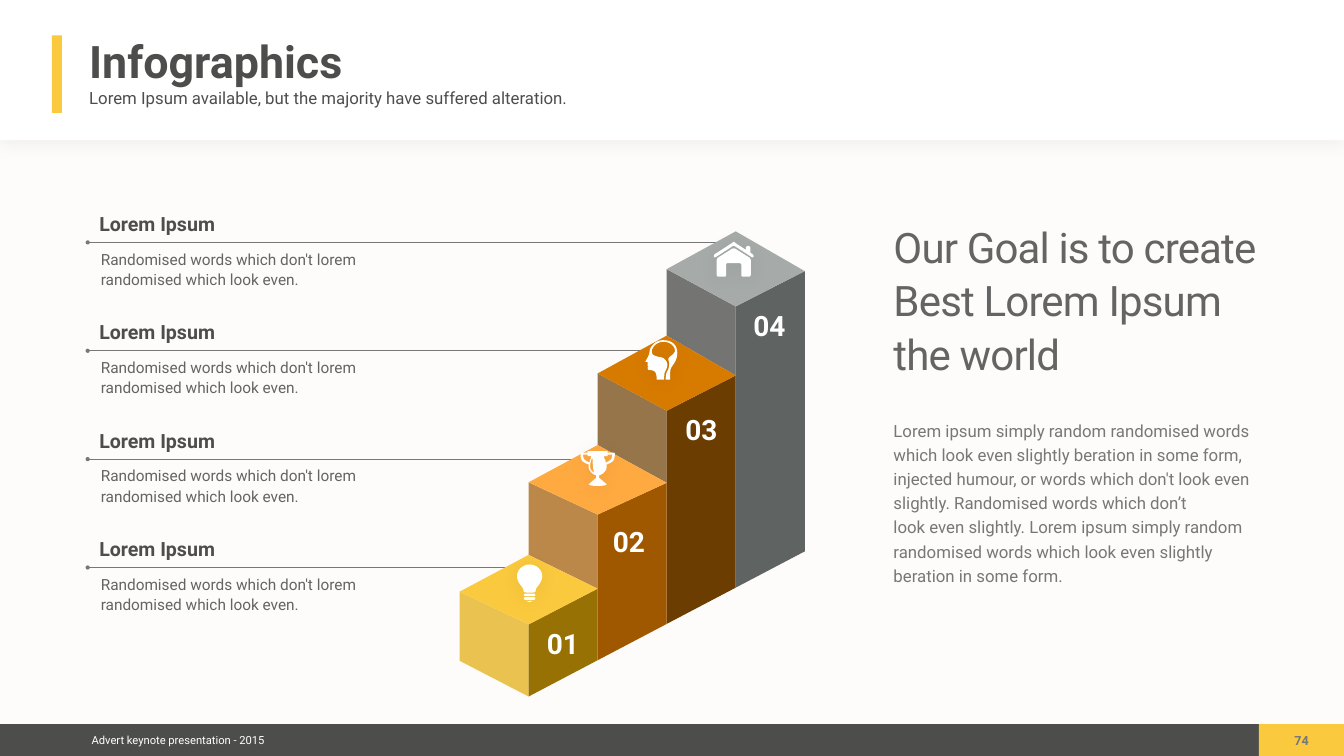
from lxml import etree
from pptx import Presentation
from pptx import util as u
from pptx.dml.color import RGBColor
from pptx.enum import shapes, text
from pptx.oxml.ns import qn

PX = 9144
FINE = 20
FONT = "Roboto"
DARK, GREY, MID = "4D4E4C", "777776", "636463"
YELLOW, WHITE = "FAC93D", "FFFFFF"
LEFT, CENTER = text.PP_ALIGN.LEFT, text.PP_ALIGN.CENTER
TOP, MIDDLE = text.MSO_ANCHOR.TOP, text.MSO_ANCHOR.MIDDLE


def px(*lengths):
    return [u.Emu(n * PX) for n in lengths]


def rgb(value):
    return RGBColor.from_string(value)


def add_child(parent, tag, **attributes):
    return etree.SubElement(parent, qn(tag), {k: str(v) for k, v in attributes.items()})


def paint(shape, color, opacity=100, shadow=False):
    shape.fill.solid()
    shape.fill.fore_color.rgb = rgb(color)
    shape.line.fill.background()
    shape.shadow.inherit = False
    properties = shape._element.spPr
    if opacity < 100:
        add_child(properties.find(".//" + qn("a:srgbClr")), "a:alpha", val=opacity * 1000)
    if shadow:
        outer = add_child(properties.find(qn("a:effectLst")), "a:outerShdw",
                          blurRad=u.Pt(26), dist=u.Pt(2), dir=5400000,
                          algn="ctr", rotWithShape=0)
        add_child(add_child(outer, "a:srgbClr", val="000000"), "a:alpha", val=5000)


def add_bar(slide, box, color, shadow=False):
    bar = slide.shapes.add_shape(shapes.MSO_SHAPE.RECTANGLE, *px(*box))
    paint(bar, color, shadow=shadow)


def add_text(slide, box, paragraphs, size, color, bold=False, align=LEFT, anchor=TOP,
             inset=0, wrap=True, spacing=1.0, before=0, tracking=0):
    frame = slide.shapes.add_textbox(*px(*box)).text_frame
    frame.word_wrap = wrap
    frame.vertical_anchor = anchor
    frame.margin_left = frame.margin_right = px(inset)[0]
    frame.margin_top = frame.margin_bottom = px(inset)[0]
    for i, words in enumerate(paragraphs):
        paragraph = frame.add_paragraph() if i else frame.paragraphs[0]
        paragraph.alignment = align
        paragraph.line_spacing = spacing
        if i:
            paragraph.space_before = u.Pt(before)
        run = paragraph.add_run()
        run.text = words
        run.font.name = FONT
        run.font.size = u.Pt(size)
        run.font.bold = bold
        run.font.color.rgb = rgb(color)
        if tracking:
            run._r.get_or_add_rPr().set("spc", str(tracking))


def add_leader(slide, y, start, end):
    leader = slide.shapes.add_connector(shapes.MSO_CONNECTOR.STRAIGHT, *px(start, y, end, y))
    leader.line.color.rgb = rgb(GREY)
    leader.line.width = u.Pt(1)
    add_child(leader.line._get_or_add_ln(), "a:headEnd", type="oval")
    add_child(leader._element.spPr, "a:effectLst")


def add_outline(slide, contours, color, origin=(0, 0), opacity=100, shadow=False):
    placed = [[((x + origin[0]) * FINE, (y + origin[1]) * FINE) for x, y in contour]
              for contour in contours]
    builder = slide.shapes.build_freeform(*placed[0][0], scale=PX / FINE)
    for i, contour in enumerate(placed):
        if i:
            builder.move_to(*contour[0])
        builder.add_line_segments(contour[1:], close=True)
    paint(builder.convert_to_shape(), color, opacity, shadow)


def trace(*segments):
    points = []
    for segment in segments:
        if len(segment) == 2:
            points.append(segment)
            continue
        ends = (points[-1], segment[:2], segment[2:4], segment[4:])
        for t in (n / 8 for n in range(1, 9)):
            weights = ((1 - t) ** 3, 3 * t * (1 - t) ** 2, 3 * t * t * (1 - t), t ** 3)
            points.append(tuple(sum(w * p[axis] for w, p in zip(weights, ends))
                                for axis in (0, 1)))
    return points


def flip(points):
    return [(-x, y) for x, y in reversed(points)]


def symmetric(*segments):
    half = trace(*segments)
    return half + flip(half)


def bulb():
    glass = symmetric((0, 0), (13, 0, 25, 10, 25, 23), (25, 36, 14, 44, 13, 48),
                      (11, 52, 13, 54, 10, 55), (7, 56, 0, 56, 0, 56))
    threads = [symmetric((0, y), (9, y), (12, y, 12, y + 5, 9, y + 5), (0, y + 5))
               for y in (58, 65)]
    return [glass, *threads, [(-7, 72), (7, 72), (0, 75)]]


def trophy():
    cup = symmetric((0, 0), (20, 0), (20, 3), (31, 3), (33, 3, 34, 4, 34, 5),
                    (34, 12, 33, 17, 30, 20), (27, 23, 22, 25, 17, 27),
                    (18, 28, 18, 29, 18, 30), (18, 39, 11, 46, 3, 48),
                    (3, 53), (18, 66), (14, 69, 7, 69, 0, 69))
    handle = trace((26, 17), (24, 19, 20, 21, 16, 23), (16, 20, 15, 17, 13, 14),
                   (13, 10), (20, 10), (20, 7), (29, 7), (29, 10, 28, 15, 26, 17))
    glint = trace((-7, 43), (-12, 40, -15, 36, -15, 30), (-15, 26, -14, 21, -12, 16),
                  (-11, 14), (-10, 15), (-10, 20, -10, 33, -7, 43))
    return [cup, handle, flip(handle), glint]


def head():
    return [trace((23, 78), (38, 78), (38, 74, 38, 69, 39, 64), (42, 58, 48, 48, 41, 40),
                  (34, 32, 32, 35, 23, 32), (14, 30, 12, 25, 14, 18),
                  (17, 12, 23, 3, 38, 3), (53, 4, 61, 15, 59, 23),
                  (56, 31, 43, 33, 47, 41), (49, 46, 48, 52, 46, 58),
                  (43, 64, 41, 65, 41, 78), (50, 78), (50, 62),
                  (50, 50, 64, 46, 64, 25), (64, 11, 55, -1, 34, 0),
                  (18, 1, 9, 15, 9, 23), (9, 31, -1, 43, 1, 43), (5, 43), (5, 52),
                  (8, 52), (5, 54), (6, 59), (6, 59, 18, 59, 20, 63),
                  (23, 67, 23, 74, 23, 78))]


def house():
    roof = symmetric((0, 0), (1, 0, 2, 1, 3, 2), (37, 24), (39, 25, 40, 28, 39, 30),
                     (38, 31, 36, 31, 34, 29), (3, 9), (2, 8, 0, 8, 0, 8))
    chimney = trace((24, 15.6), (24, 12), (24, 10, 26, 8, 28, 8), (29, 8),
                    (31, 8, 33, 10, 33, 12), (33, 21.4))
    walls = symmetric((0, 13), (1, 13, 3, 13, 4, 14), (31, 31), (33, 33, 34, 35, 34, 37),
                      (34, 65), (34, 67, 32, 69, 30, 69), (18, 69),
                      (16, 69, 15, 67, 15, 65), (15, 45), (15, 43, 13, 42, 11, 42), (0, 42))
    return [roof, chimney, walls]


STEPS = [
    ((1174, 1239, 1168, 1101), YELLOW, ("E3AA06", 70), ("987104", 100),
     (1079, 1233), bulb, (1051, 1120)),
    ((957, 1021, 958, 883), "FFA941", ("A05800", 70), ("A05800", 100),
     (1210, 1031), trophy, (1186, 895)),
    ((741, 815, 745, 666), "D77A00", ("6C3D00", 70), ("6C3D00", 100),
     (1354, 810), head, (1280, 675)),
    ((534, 608, 538, 459), "A6AAA9", ("3A3B39", 70), ("525655", 92),
     (1489, 602), house, (1456, 480)),
]


def add_staircase(slide):
    pitch, drop = 137, 72
    for i, (corners, lid, side, front, *_) in reversed(list(enumerate(STEPS))):
        left, near, right, back = corners
        x0, x1, x2 = (912 + pitch * (i + n) for n in range(3))
        floor = 1382 - drop * i
        side_floor = (STEPS[i - 1][0][3], STEPS[i - 1][0][2]) if i else (1311, floor)
        add_outline(slide, [[(x0, left), (x0, side_floor[0]), (x1, side_floor[1]), (x1, near)]],
                    side[0], opacity=side[1])
        add_outline(slide, [[(x2, right), (x2, floor - drop), (x1, floor), (x1, near)]],
                    front[0], opacity=front[1])
        add_outline(slide, [[(x0, left), (x1, near), (x2, right), (x1, back)]], lid)
    for i, (*_, number_at, icon, icon_at) in enumerate(STEPS, 1):
        add_text(slide, (*number_at, 76, 85), [f"{i:02}"], 40, WHITE, bold=True,
                 align=CENTER, anchor=MIDDLE, wrap=False)
        add_outline(slide, icon(), WHITE, origin=icon_at, shadow=True)


def add_labels(slide):
    for i, leader_end in enumerate((1430, 1321, 1155, 1026)):
        y = 481 + 215 * i
        add_leader(slide, y, 174, leader_end)
        add_text(slide, (197, y - 69, 256, 63), ["Lorem Ipsum"], 28, DARK, bold=True,
                 anchor=MIDDLE)
        add_text(slide, (200, y + 11, 565, 142),
                 ["Randomised words which don't lorem randomised which look even."],
                 22, MID, spacing=1.1)


def add_frame(slide):
    add_bar(slide, (0, 0, 2667, 278), WHITE, shadow=True)
    add_bar(slide, (0, 1437, 2667, 63), DARK)
    add_bar(slide, (2498, 1437, 169, 63), YELLOW)
    add_bar(slide, (103, 70, 20, 154), YELLOW)
    add_text(slide, (171, 1446, 365, 45), ["Advert keynote presentation - 2015"], 16, WHITE,
             align=CENTER, anchor=MIDDLE, inset=8, wrap=False)
    add_text(slide, (2560, 1447, 46, 49), ["74"], 18, GREY, bold=True, align=CENTER,
             inset=8, wrap=False)
    add_text(slide, (169, 54, 520, 132), ["Infographics"], 64, DARK, bold=True,
             anchor=MIDDLE, inset=8, wrap=False)
    add_text(slide, (169, 167, 1074, 60),
             ["Lorem Ipsum available, but the majority have suffered alteration."],
             24, DARK, inset=8)


def add_goal(slide):
    add_text(slide, (1773, 450, 752, 341),
             ["Our Goal is to create", "Best Lorem Ipsum", "the world"],
             60, MID, spacing=0.9, before=12, tracking=-120)
    add_text(slide, (1773, 826, 725, 387),
             ["Lorem ipsum simply random randomised words which look even slightly beration "
              "in some form, injected humour, or words which don't look even slightly. "
              "Randomised words which don’t",
              "look even slightly. Lorem ipsum simply random randomised words which look "
              "even slightly beration in some form."], 24, GREY, spacing=1.2)


def main():
    deck = Presentation()
    deck.slide_width, deck.slide_height = px(2667, 1500)
    slide = deck.slides.add_slide(deck.slide_layouts[6])
    slide.background.fill.solid()
    slide.background.fill.fore_color.rgb = rgb("FDFCFB")
    add_frame(slide)
    add_labels(slide)
    add_staircase(slide)
    add_goal(slide)
    deck.save("out.pptx")


if __name__ == "__main__":
    main()
